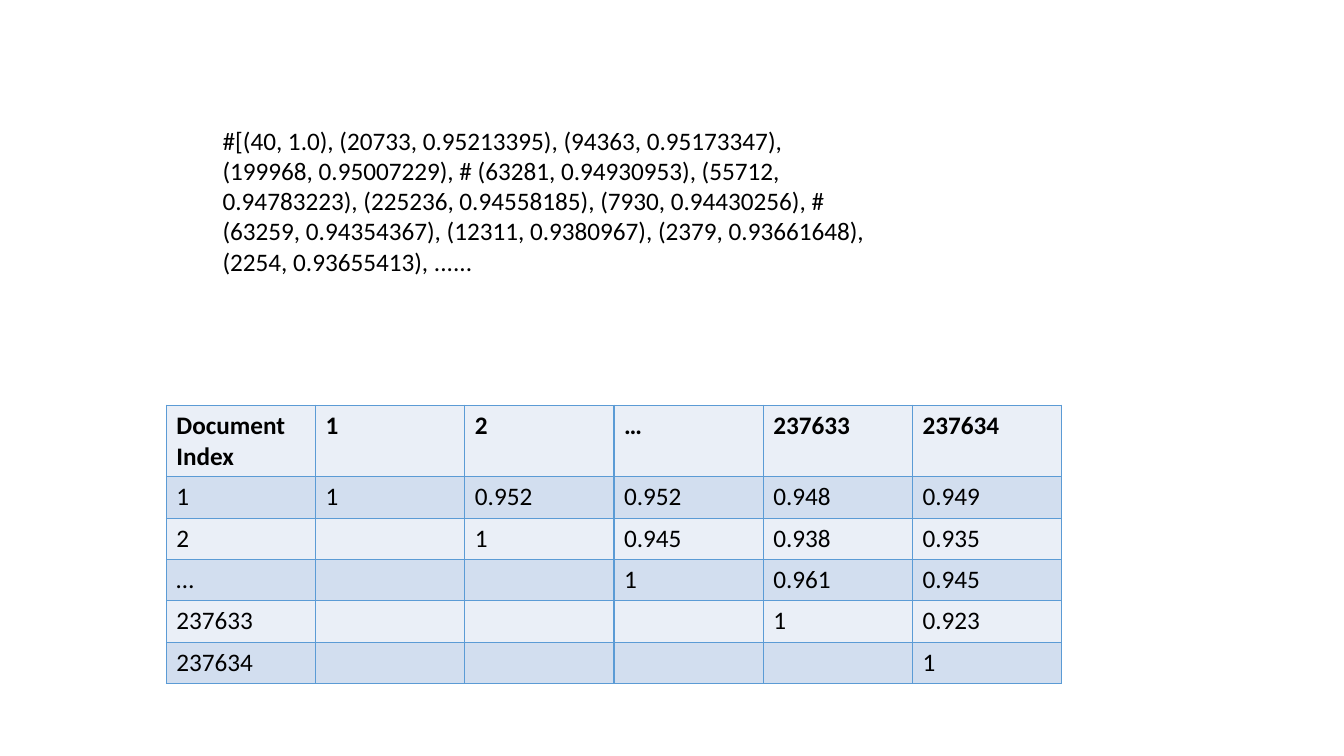
from dataclasses import dataclass

from lxml.etree import SubElement as Sub
from pptx import Presentation
from pptx.dml.color import RGBColor as Rgb
from pptx.enum.text import MSO_AUTO_SIZE as Auto
from pptx.oxml.ns import qn
from pptx.util import Emu, Pt

PX = 9144  # EMU per px, 100 px to the inch
HUES = {"text": "000000", "line": "5B9BD5", "light": "EAEFF7", "dark": "D2DEEF"}


@dataclass
class Box:
    left: int
    top: int
    width: int
    height: int

    def emu(self) -> list[Emu]:
        return [px(n) for n in (self.left, self.top, self.width, self.height)]


def px(count: int) -> Emu:
    return Emu(count * PX)


def style(para, bold: bool = False) -> None:
    font = para.font
    font.name, font.size, font.bold = "Calibri", Pt(18), bold
    font.color.rgb = Rgb.from_string(HUES["text"])


def edge(cell) -> None:
    """Draw a thin line on all four sides of a cell."""
    props = cell._tc.get_or_add_tcPr()
    for side in ("lnL", "lnR", "lnT", "lnB"):
        line = Sub(props, qn(f"a:{side}"), w=str(Pt(1)))
        fill = Sub(line, qn("a:solidFill"))
        Sub(fill, qn("a:srgbClr"), val=HUES["line"])


def add_text(slide, box: Box, text: str) -> None:
    frame = slide.shapes.add_textbox(*box.emu()).text_frame
    frame.word_wrap = True
    frame.auto_size = Auto.SHAPE_TO_FIT_TEXT
    frame.text = text
    style(frame.paragraphs[0])


def add_grid(slide, box: Box, rows: list[list[str]], head: int) -> None:
    shape = slide.shapes.add_table(len(rows), len(rows[0]), *box.emu())
    table = shape.table
    table.first_row = table.horz_banding = False
    body = (box.height - head) // (len(rows) - 1)
    for r, row in enumerate(rows):
        table.rows[r].height = px(body if r else head)
        for c, text in enumerate(row):
            cell = table.cell(r, c)
            cell.text = text
            style(cell.text_frame.paragraphs[0], bold=r == 0)
            edge(cell)
            cell.fill.solid()
            tone = "dark" if r % 2 else "light"
            cell.fill.fore_color.rgb = Rgb.from_string(HUES[tone])


# Similarity list and matrix
PAIRS = (
    "#[(40, 1.0), (20733, 0.95213395), (94363, 0.95173347), "
    "(199968, 0.95007229), # (63281, 0.94930953), (55712, 0.94783223), "
    "(225236, 0.94558185), (7930, 0.94430256), # (63259, 0.94354367), "
    "(12311, 0.9380967), (2379, 0.93661648), (2254, 0.93655413), ......"
)
DOCS = ["1", "2", "…", "237633", "237634"]
UPPER = [
    ["0.952", "0.952", "0.948", "0.949"],
    ["0.945", "0.938", "0.935"],
    ["0.961", "0.945"],
    ["0.923"],
    [],
]


def main() -> None:
    deck = Presentation()
    deck.slide_width, deck.slide_height = px(1333), px(750)
    slide = deck.slides.add_slide(deck.slide_layouts[6])

    # Each row is blank up to its own document
    rows = [["Document Index", *DOCS]]
    for i, (doc, scores) in enumerate(zip(DOCS, UPPER)):
        rows.append([doc, *[""] * i, "1", *scores])

    add_grid(slide, Box(165, 402, 888, 275), rows, head=70)
    add_text(slide, Box(211, 119, 667, 162), PAIRS)
    deck.save("out.pptx")


if __name__ == "__main__":
    main()
